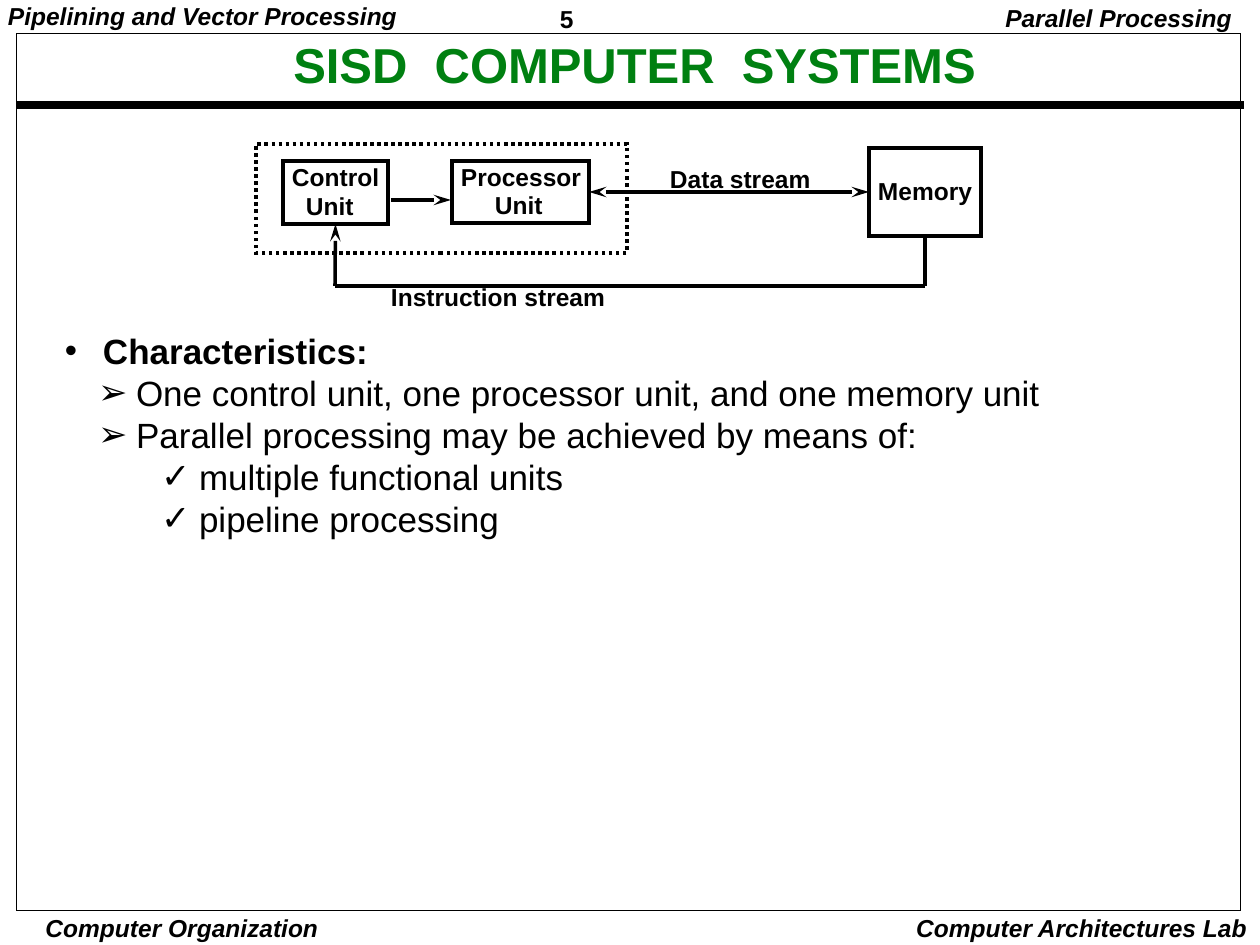
from dataclasses import dataclass

from pptx import Presentation
from pptx.dml.color import RGBColor
from pptx.enum.dml import MSO_LINE
from pptx.enum.shapes import MSO_CONNECTOR, MSO_SHAPE
from pptx.enum.text import MSO_ANCHOR, PP_ALIGN
from pptx.oxml.ns import qn
from pptx.util import Emu, Pt
from lxml.etree import SubElement

PX_PER_INCH = 126
TOP, LEFT, BOTTOM, RIGHT = range(4)


@dataclass(frozen=True)
class Theme:
    font: str = "Arial"
    ink: RGBColor = RGBColor(0x00, 0x00, 0x00)
    heading: RGBColor = RGBColor(0x00, 0x80, 0x11)
    label_size: int = 14
    body_size: int = 20
    title_size: int = 28
    frame_width: float = 0.5
    diagram_width: float = 2
    rule_width: float = 4.5


THEME = Theme()


def px(length):
    return Emu(round(length * 914400 / PX_PER_INCH))


def add_run(paragraph, text, size=THEME.label_size, color=THEME.ink, bold=True, italic=False):
    run = paragraph.add_run()
    run.text = text
    run.font.name = THEME.font
    run.font.size = Pt(size)
    run.font.bold = bold
    run.font.italic = italic
    run.font.color.rgb = color


def set_insets(frame, across, down):
    frame.margin_left = frame.margin_right = px(across)
    frame.margin_top = frame.margin_bottom = px(down)


def add_text(slide, box, text, align=PP_ALIGN.LEFT, insets=(9, 4), spacing=0.9,
             anchor=MSO_ANCHOR.TOP, **style):
    frame = slide.shapes.add_textbox(*map(px, box)).text_frame
    frame.word_wrap = True
    frame.vertical_anchor = anchor
    set_insets(frame, *insets)
    paragraph = frame.paragraphs[0]
    paragraph.alignment = align
    paragraph.line_spacing = spacing
    add_run(paragraph, text, **style)


def add_box(slide, box, width=THEME.diagram_width, dash=None, lines=()):
    outline = slide.shapes.add_shape(MSO_SHAPE.RECTANGLE, *map(px, box))
    outline.shadow.inherit = False
    outline.fill.background()
    outline.line.color.rgb = THEME.ink
    outline.line.width = Pt(width)
    if dash:
        outline.line.dash_style = dash
    SubElement(outline.line._get_or_add_ln(), qn("a:miter"), lim="800000")
    frame = outline.text_frame
    frame.word_wrap = False
    frame.vertical_anchor = MSO_ANCHOR.MIDDLE
    set_insets(frame, 9, 4)
    for index, (text, indent) in enumerate(lines):
        paragraph = frame.add_paragraph() if index else frame.paragraphs[0]
        paragraph.alignment = PP_ALIGN.LEFT
        paragraph.line_spacing = 0.96
        paragraph._p.get_or_add_pPr().set("marL", str(px(indent)))
        add_run(paragraph, text)
    return outline


def add_line(slide, start, end, width=THEME.diagram_width, arrows=(), begin=None, finish=None):
    line = slide.shapes.add_connector(MSO_CONNECTOR.STRAIGHT, *map(px, start + end))
    if begin:
        line.begin_connect(*begin)
    if finish:
        line.end_connect(*finish)
    line.line.color.rgb = THEME.ink
    line.line.width = Pt(width)
    stroke = line.line._get_or_add_ln()
    for arrow in arrows:
        SubElement(stroke, qn(f"a:{arrow}"), type="stealth", w="med", len="lg")
    SubElement(line._element.spPr, qn("a:effectLst"))


def add_bullets(slide, box, items):
    frame = slide.shapes.add_textbox(*map(px, box)).text_frame
    frame.word_wrap = True
    set_insets(frame, 9, 4)
    levels = (("•", 40), ("➢", 73), ("✓", 136))
    for index, (level, text) in enumerate(items):
        paragraph = frame.add_paragraph() if index else frame.paragraphs[0]
        paragraph.level = level
        mark, margin = levels[level]
        properties = paragraph._p.get_or_add_pPr()
        properties.set("marL", str(px(margin)))
        properties.set("indent", str(px(-min(margin, 38))))
        SubElement(properties, qn("a:buFont"), typeface=THEME.font)
        SubElement(properties, qn("a:buChar"), char=mark)
        add_run(paragraph, text, size=THEME.body_size, bold=level == 0)


def add_page_frame(slide):
    add_text(slide, (551, 0, 136, 37), "5", spacing=1.01)
    add_text(slide, (-1, 0, 430, 34), "Pipelining and Vector Processing", italic=True)
    add_text(slide, (965, 0, 280, 39), "Parallel Processing", PP_ALIGN.RIGHT,
             insets=(13, 6), italic=True)
    add_text(slide, (22, 912, 320, 33), "Computer Organization", PP_ALIGN.CENTER,
             insets=(4, 1), spacing=1.0, italic=True)
    add_text(slide, (860, 907, 400, 38), "Computer Architectures Lab", PP_ALIGN.RIGHT,
             insets=(13, 6), spacing=1.0, italic=True)
    add_line(slide, (16, 105), (1244, 105), THEME.rule_width)
    add_box(slide, (16, 33, 1225, 878), THEME.frame_width)
    add_text(slide, (82, 20, 1105, 96), "SISD  COMPUTER  SYSTEMS", PP_ALIGN.CENTER,
             anchor=MSO_ANCHOR.MIDDLE, size=THEME.title_size, color=THEME.heading)


def add_diagram(slide):
    control = add_box(slide, (283, 161, 105, 63), lines=(("Control", 0), ("Unit", 14)))
    processor = add_box(slide, (452, 161, 137, 62), lines=(("Processor", 0), ("Unit", 34)))
    memory = add_box(slide, (869, 148, 112, 88), lines=(("Memory", 0),))
    add_box(slide, (256, 144, 371, 109), dash=MSO_LINE.ROUND_DOT)

    control_corner, memory_corner = (335, 286), (925, 286)
    add_line(slide, (391, 200), (451, 200), arrows=("tailEnd",))
    add_line(slide, (589, 192), (869, 192), arrows=("headEnd", "tailEnd"),
             begin=(processor, RIGHT), finish=(memory, LEFT))
    add_line(slide, memory_corner, (925, 236), finish=(memory, BOTTOM))
    add_line(slide, control_corner, memory_corner)
    add_line(slide, control_corner, (335, 224), arrows=("tailEnd",), finish=(control, BOTTOM))

    add_text(slide, (382, 281, 260, 34), "Instruction stream")
    add_text(slide, (661, 163, 180, 34), "Data stream")


def main():
    deck = Presentation()
    deck.slide_width, deck.slide_height = px(1260), px(945)
    slide = deck.slides.add_slide(deck.slide_layouts[6])
    add_page_frame(slide)
    add_diagram(slide)
    add_bullets(slide, (54, 325, 1163, 260), (
        (0, "Characteristics:"),
        (1, "One control unit, one processor unit, and one memory unit"),
        (1, "Parallel processing may be achieved by means of:"),
        (2, "multiple functional units"),
        (2, "pipeline processing"),
    ))
    deck.save("out.pptx")


if __name__ == "__main__":
    main()
